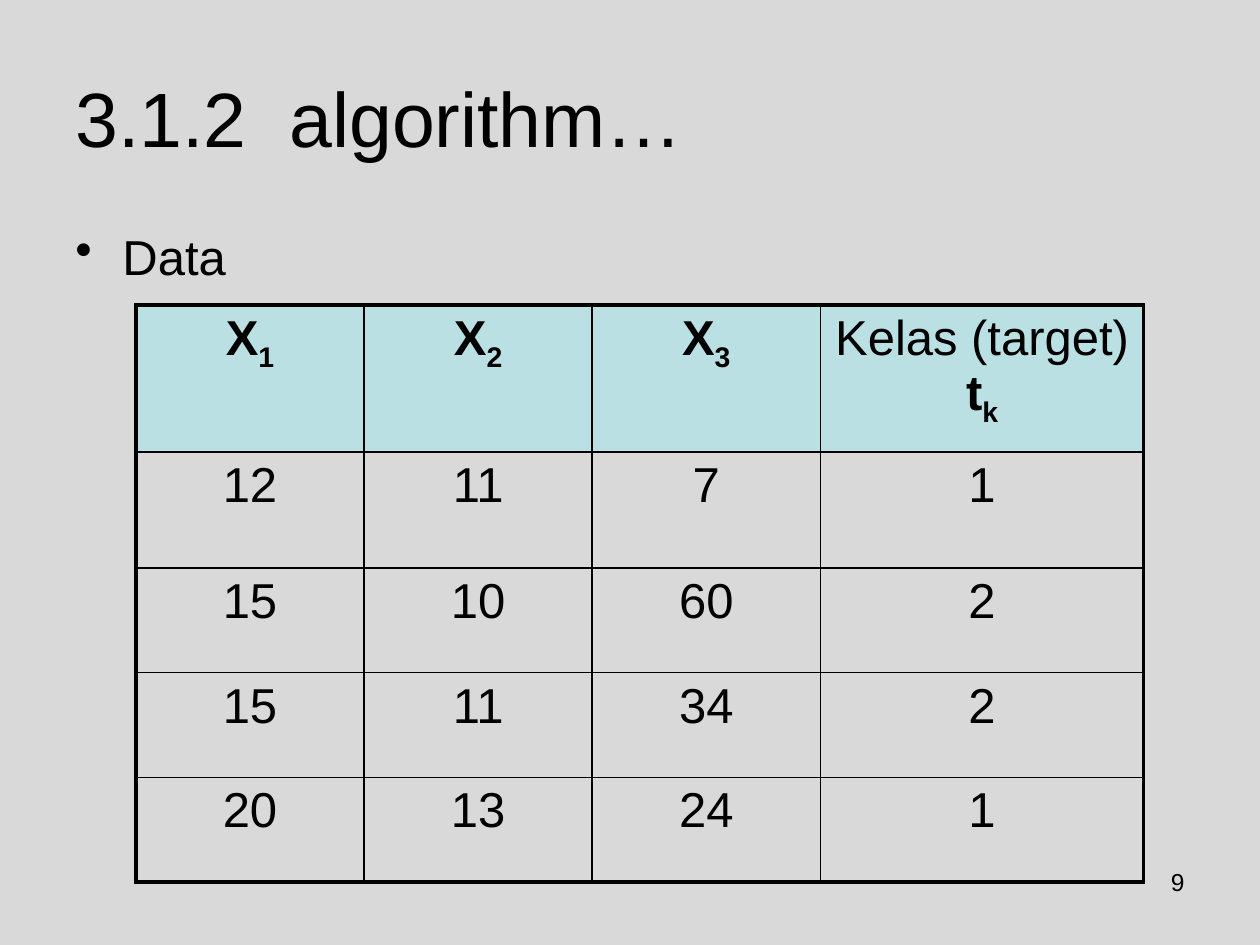
from lxml import etree
from pptx import Presentation
from pptx import util as u
from pptx.dml.color import RGBColor
from pptx.enum import text
from pptx.oxml import ns

COLORS = {"page": "D9D9D9", "ink": "000000", "header": "BBE0E3"}
FONT = "Arial"
HEADERS = [
    [("X", True, False), ("1", True, True)],
    [("X", True, False), ("2", True, True)],
    [("X", True, False), ("3", True, True)],
    [("Kelas (target) ", False, False), ("t", True, False), ("k", True, True)],
]
RECORDS = [(12, 11, 7, 1), (15, 10, 60, 2), (15, 11, 34, 2), (20, 13, 24, 1)]
COLUMN_WIDTHS = [4.6, 4.6, 4.6, 6.52]
ROW_HEIGHTS = [2.96, 2.34, 2.11, 2.11, 2.11]
THIN, THICK = 1, 2.25


def color(name):
    return RGBColor.from_string(COLORS[name])


def format_paragraph(para, size, alignment):
    para.alignment = alignment
    para.font.name = FONT
    para.font.size = u.Pt(size)
    para.font.color.rgb = color("ink")


def place(shape, left, top, width, height):
    shape.left, shape.top = u.Cm(left), u.Cm(top)
    shape.width, shape.height = u.Cm(width), u.Cm(height)


def add_title(page, wording):
    title = page.shapes.title
    place(title, 1.27, 0.76, 22.86, 3.18)
    frame = title.text_frame
    frame.text = wording
    frame.auto_size = text.MSO_AUTO_SIZE.NONE
    frame.vertical_anchor = text.MSO_ANCHOR.MIDDLE
    format_paragraph(frame.paragraphs[0], 44, text.PP_ALIGN.LEFT)


def add_text(page, wording, bounds, size, alignment):
    box = page.shapes.add_textbox(*map(u.Cm, bounds))
    box.text_frame.word_wrap = True
    para = box.text_frame.paragraphs[0]
    para.text = wording
    format_paragraph(para, size, alignment)
    return para


def add_bullet(para, indent):
    properties = para._p.get_or_add_pPr()
    properties.set("marL", str(u.Cm(indent)))
    properties.set("indent", str(-u.Cm(indent)))
    bullet = etree.Element(ns.qn("a:buChar"), char="•")
    properties.insert_element_before(bullet, "a:tabLst", "a:defRPr", "a:extLst")


def set_borders(cell, widths):
    properties = cell._tc.get_or_add_tcPr()
    for side, width in widths.items():
        line = etree.SubElement(properties, ns.qn(f"a:ln{side}"), w=str(u.Pt(width)))
        fill = etree.SubElement(line, ns.qn("a:solidFill"))
        etree.SubElement(fill, ns.qn("a:srgbClr"), val=COLORS["ink"])


def fill_cell(cell, spans):
    para = cell.text_frame.paragraphs[0]
    format_paragraph(para, 28, text.PP_ALIGN.CENTER)
    for wording, bold, subscript in spans:
        span = para.add_run()
        span.text = wording
        span.font.bold = bold
        if subscript:
            span.font._element.set("baseline", "-25000")


def add_data_table(page, left, top):
    rows = HEADERS, *([[(str(value), False, False)] for value in record] for record in RECORDS)
    last_row, last_column = len(ROW_HEIGHTS) - 1, len(COLUMN_WIDTHS) - 1
    frame = page.shapes.add_table(
        len(ROW_HEIGHTS), len(COLUMN_WIDTHS), u.Cm(left), u.Cm(top),
        u.Cm(sum(COLUMN_WIDTHS)), u.Cm(sum(ROW_HEIGHTS)))
    table = frame.table
    table.first_row = table.horz_banding = False
    for column, width in zip(table.columns, COLUMN_WIDTHS):
        column.width = u.Cm(width)
    for row, height in zip(table.rows, ROW_HEIGHTS):
        row.height = u.Cm(height)
    for i, row in enumerate(rows):
        for j, spans in enumerate(row):
            cell = table.cell(i, j)
            outer = {"L": j == 0, "R": j == last_column, "T": i == 0, "B": i == last_row}
            set_borders(cell, {side: THICK if edge else THIN for side, edge in outer.items()})
            if i == 0:
                cell.fill.solid()
                cell.fill.fore_color.rgb = color("header")
            else:
                cell.fill.background()
            fill_cell(cell, spans)


def main():
    deck = Presentation()
    deck.slide_width, deck.slide_height = u.Cm(25.4), u.Cm(19.05)
    page = deck.slides.add_slide(deck.slide_layouts[5])
    page.background.fill.solid()
    page.background.fill.fore_color.rgb = color("page")
    add_text(page, "9", (18.21, 17.35, 5.92, 1.32), 14, text.PP_ALIGN.RIGHT)
    add_title(page, "3.1.2  algorithm…")
    data = add_text(page, "Data", (1.27, 4.45, 11.23, 12.57), 28, text.PP_ALIGN.LEFT)
    data.space_before = u.Pt(3.4)
    add_bullet(data, 0.95)
    add_data_table(page, 2.74, 6.15)
    deck.save("out.pptx")


main()
